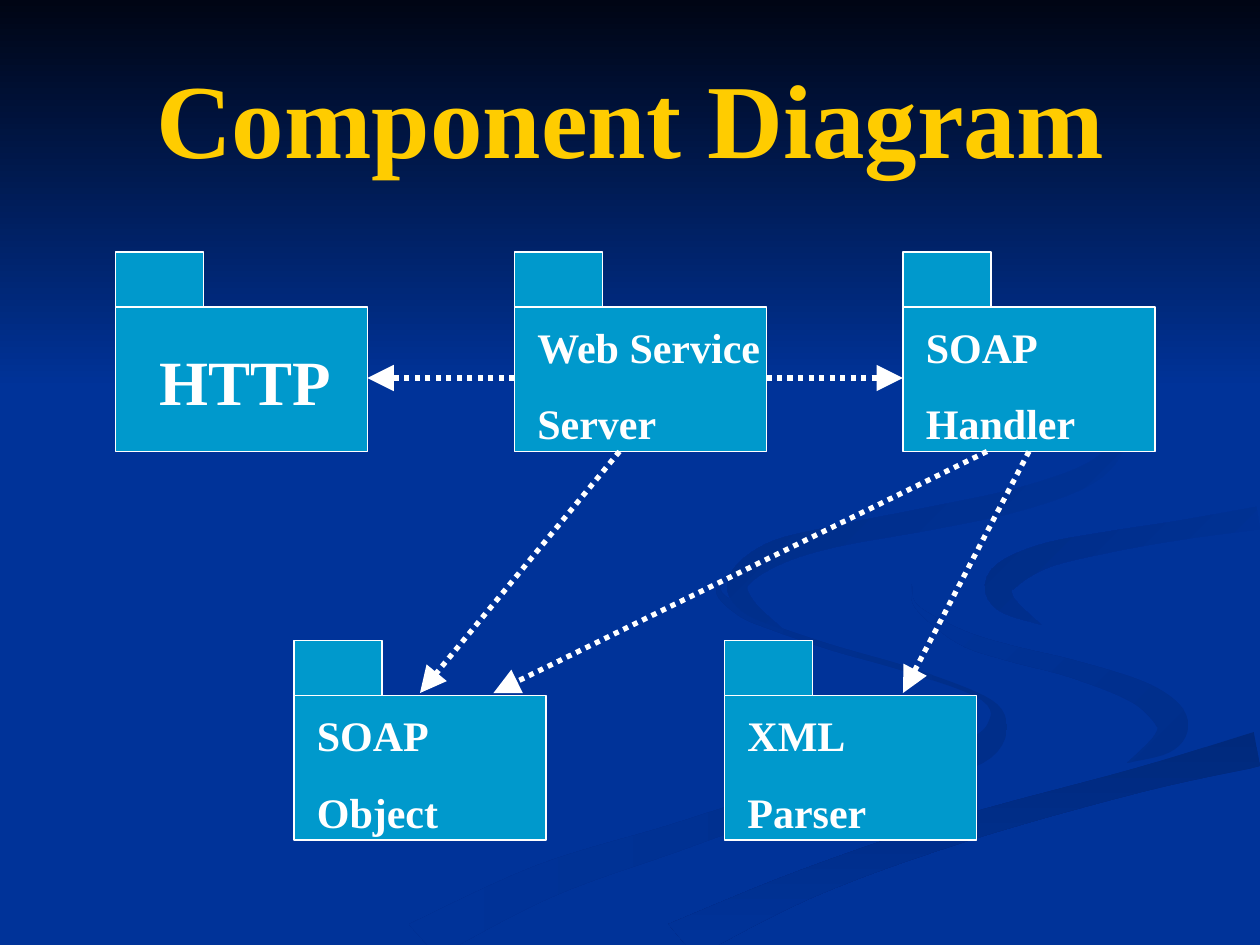
"""Build the Component Diagram slide: packages joined by dotted arrows."""
from math import hypot

from lxml import etree
from pptx import Presentation
from pptx.dml.color import RGBColor
from pptx.enum import dml, shapes, text
from pptx.oxml import ns
from pptx.util import Pt

NAVY = RGBColor(0x00, 0x33, 0x99)
NIGHT = RGBColor(0x00, 0x05, 0x14)
SHADE_CURL = RGBColor(0x00, 0x2E, 0x8A)
SHADE_BAND = RGBColor(0x00, 0x29, 0x7C)
SHADE_HOOK = RGBColor(0x00, 0x2C, 0x85)
SHADE_SWEEP = RGBColor(0x00, 0x2B, 0x81)
TEAL = RGBColor(0x00, 0x99, 0xCC)
GOLD = RGBColor(0xFF, 0xCC, 0x00)
WHITE = RGBColor(0xFF, 0xFF, 0xFF)
FONT = "Times New Roman"
SLIDE_W, SLIDE_H = 720, 540
STEPS = 6

RIBBONS = {
    "main": ([(719, 284, 11), (648, 296, 11), (576, 311, 16), (544, 333, 36),
              (580, 356, 12), (640, 372, 14), (700, 396, 30), (690, 422, 14),
              (600, 450, 10), (500, 480, 12), (365, 535, 14)],
             NAVY, NAVY, 0),
    "left curl": ([(414, 330, 0), (411, 339, 3), (424, 350, 5), (440, 358, 3),
                   (475, 370, 3), (520, 383, 3), (562, 399, 3), (570, 414, 11),
                   (558, 429, 16), (518, 441, 14), (446, 459, 14),
                   (382, 480, 16), (310, 504, 20), (239, 539, 24)],
                  SHADE_CURL, NAVY, 180),
    "right curl": ([(521, 334, 0), (524, 347, 2), (549, 364, 8), (576, 373, 9),
                    (612, 382, 10), (647, 394, 13), (664, 405, 17),
                    (670, 415, 18), (664, 425, 13), (644, 436, 0)],
                   SHADE_CURL, NAVY, 135),
    "band": ([(387, 539, 24), (461, 505, 17), (549, 474, 15), (650, 446, 14),
              (719, 428, 20)],
             SHADE_BAND, NAVY, 270),
    "hook": ([(719, 296, 13), (674, 303, 11), (632, 310, 12), (596, 318, 14),
              (573, 331, 17), (574, 344, 12), (595, 357, 0)],
             NAVY, SHADE_HOOK, 135),
    "sweep": ([(549, 168, 0), (595, 190, 3), (628, 214, 3), (641, 243, 4),
               (636, 259, 9), (618, 273, 12), (580, 286, 13), (533, 296, 13),
               (475, 307, 12), (441, 317, 14), (422, 332, 12), (427, 346, 9),
               (448, 360, 0)],
              NAVY, SHADE_SWEEP, 135),
}

BODY_W, BODY_H = 144, 82.5
TAB_W, TAB_H = 50.4, 31.5
UPPER, LOWER = 144, 366
PACKAGES = {
    "server": (294, UPPER, ["Web Service", "Server"], 198),
    "http": (66, UPPER, ["HTTP"], 138),
    "handler": (516, UPPER, ["SOAP", "Handler"], 156),
    "parser": (414, LOWER, ["XML", "Parser"], 156),
    "object": (168, LOWER, ["SOAP", "Object"], 156),
}
SIDE_LINKS = [("server", 0, "http", BODY_W), ("server", BODY_W, "handler", 0)]
DOWN_LINKS = [("server", 60, "object", 72), ("handler", 48, "object", 114),
              ("handler", 72, "parser", 102)]


def ribbon_outline(knots):
    """Return both edges of a smooth ribbon through (x, y, width) knots."""
    padded = [knots[0], *knots, knots[-1]]
    left, right = [], []
    for quad in zip(padded, padded[1:], padded[2:], padded[3:]):
        for i in range(STEPS + 1):
            t = i / STEPS
            blend = ((-t + 2 * t**2 - t**3) / 2, (2 - 5 * t**2 + 3 * t**3) / 2,
                     (t + 4 * t**2 - 3 * t**3) / 2, (t**3 - t**2) / 2)
            slope = ((-1 + 4 * t - 3 * t**2) / 2, (-10 * t + 9 * t**2) / 2,
                     (1 + 8 * t - 9 * t**2) / 2, (3 * t**2 - 2 * t) / 2)
            x, y, w = (sum(b * k[n] for b, k in zip(blend, quad))
                       for n in range(3))
            dx, dy = (sum(b * k[n] for b, k in zip(slope, quad))
                      for n in range(2))
            half = max(w, 0) / 2 / hypot(dx, dy)
            for edge, side in ((left, half), (right, -half)):
                edge.append((Pt(min(x - dy * side, SLIDE_W)),
                             Pt(min(y + dx * side, SLIDE_H))))
    return left + right[::-1]


def add_text(x, y, w, h, lines, size, color, align, anchor):
    """Add a bold text box with one paragraph for each line."""
    tf = s.shapes.add_textbox(Pt(x), Pt(y), Pt(w), Pt(h)).text_frame
    tf.word_wrap = True
    tf.vertical_anchor = anchor
    for i, line in enumerate(lines):
        p = tf.add_paragraph() if i else tf.paragraphs[0]
        p.alignment = align
        if i:
            p.space_before = Pt(15)
        r = p.add_run()
        r.text = line
        r.font.name = FONT
        r.font.size = Pt(size)
        r.font.bold = True
        r.font.color.rgb = color


prs = Presentation()
prs.slide_width, prs.slide_height = Pt(SLIDE_W), Pt(SLIDE_H)
s = prs.slides.add_slide(prs.slide_layouts[6])
s.background.fill.solid()
s.background.fill.fore_color.rgb = NAVY

backdrop = []
for knots, start, end, angle in RIBBONS.values():
    outline = ribbon_outline(knots)
    fb = s.shapes.build_freeform(*outline[0])
    fb.add_line_segments(outline[1:], close=True)
    backdrop.append((fb.convert_to_shape(), start, end, angle))
fade = s.shapes.add_shape(shapes.MSO_SHAPE.RECTANGLE,
                          Pt(0), Pt(0), Pt(SLIDE_W), Pt(222))
backdrop.append((fade, NIGHT, NAVY, 270))

for sp, start, end, angle in backdrop:
    sp.shadow.inherit = False
    sp.line.fill.background()
    sp.fill.gradient()
    sp.fill.gradient_angle = angle
    for stop, color in zip(sp.fill.gradient_stops, (start, end)):
        stop.color.rgb = color

add_text(36, 21.6, 648, 90, ["Component Diagram"], 60, GOLD,
         text.PP_ALIGN.CENTER, text.MSO_ANCHOR.MIDDLE)

for x, y, lines, width in PACKAGES.values():
    for top, w, h in ((y + TAB_H, BODY_W, BODY_H), (y, TAB_W, TAB_H)):
        sp = s.shapes.add_shape(shapes.MSO_SHAPE.RECTANGLE,
                                Pt(x), Pt(top), Pt(w), Pt(h))
        sp.shadow.inherit = False
        sp.fill.solid()
        sp.fill.fore_color.rgb = TEAL
        sp.line.color.rgb = WHITE
        sp.line.width = Pt(0.75)
    single = len(lines) == 1
    dx, dy, h, size = (18, 48, 50.4, 36) if single else (6, 36, 80, 24)
    add_text(x + dx, y + dy, width, h, lines, size, WHITE,
             text.PP_ALIGN.LEFT, text.MSO_ANCHOR.TOP)

side_y = UPPER + 72
leave_y, arrive_y = UPPER + TAB_H + BODY_H, LOWER + TAB_H - 1.5
links = [(link, side_y, side_y) for link in SIDE_LINKS]
links += [(link, leave_y, arrive_y) for link in DOWN_LINKS]
for (source, dx1, target, dx2), y1, y2 in links:
    x1, x2 = PACKAGES[source][0] + dx1, PACKAGES[target][0] + dx2
    cn = s.shapes.add_connector(shapes.MSO_CONNECTOR.STRAIGHT,
                                Pt(x1), Pt(y1), Pt(x2), Pt(y2))
    cn.line.color.rgb = WHITE
    cn.line.width = Pt(3)
    cn.line.dash_style = dml.MSO_LINE.ROUND_DOT
    ln = cn.line._get_or_add_ln()
    etree.SubElement(ln, ns.qn("a:tailEnd"), type="triangle", w="lg", len="lg")
    etree.SubElement(cn._element.spPr, ns.qn("a:effectLst"))

prs.save("out.pptx")
